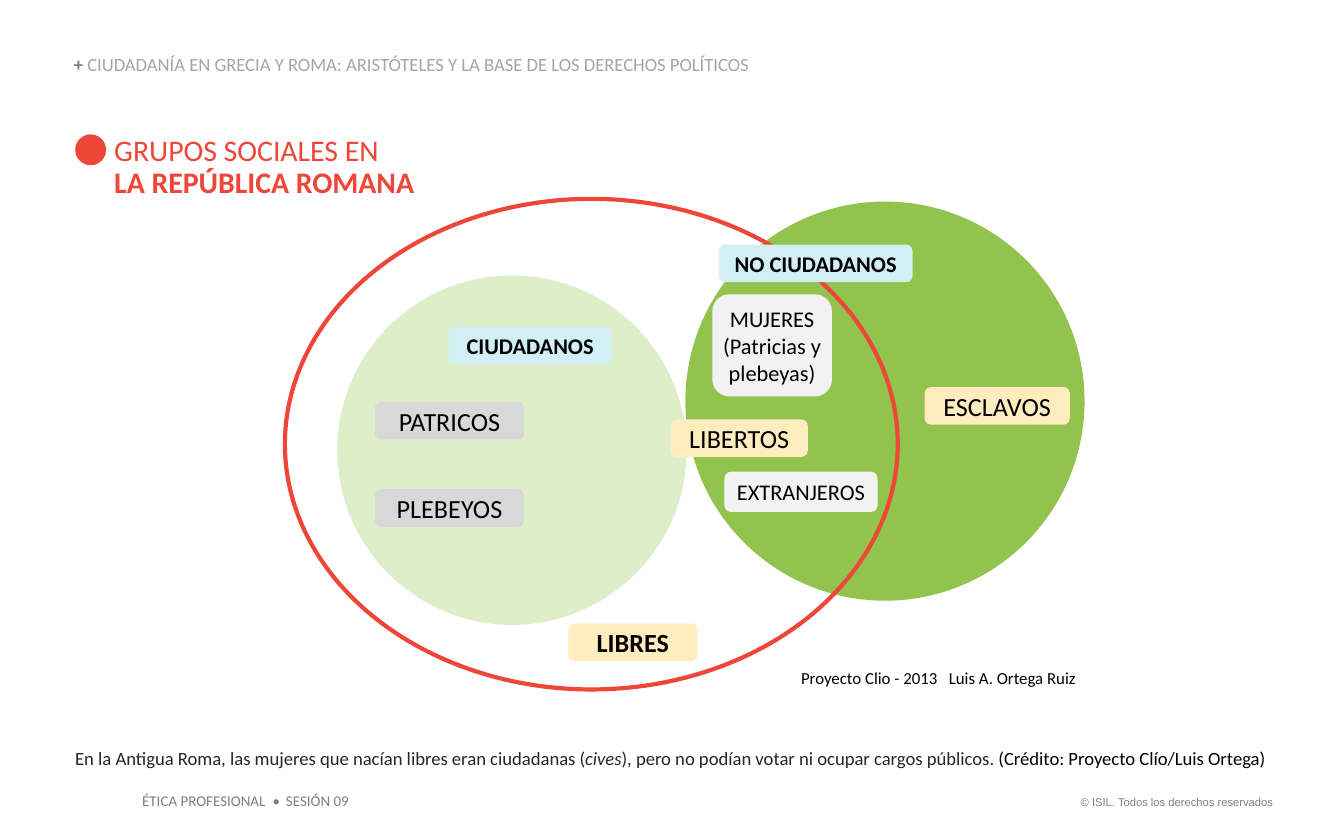
"""Build the slide on social groups in the Roman Republic."""
import pptx
import pptx.dml.color
import pptx.enum.shapes
import pptx.enum.text
import pptx.oxml
import pptx.oxml.ns
import pptx.util

CELL = 0.1
RED, BLACK, GRAY = "EE4639", "000000", "7F7F7F"
SKY, SAND, STONE, MIST = "D1EFF5", "FFEDBF", "D8D8D8", "F2F2F2"
PAD = (1, 0.5)
ALIGN = pptx.enum.text.PP_ALIGN
ANCHOR = pptx.enum.text.MSO_ANCHOR
KIND = pptx.enum.shapes.MSO_SHAPE


def grid(*cells):
    """Turn counts of grid cells into lengths."""
    return [pptx.util.Inches(cell * CELL) for cell in cells]


def paint(target, color):
    """Give a fill or a font a solid hex colour."""
    if hasattr(target, "solid"):
        target.solid()
        target = target.fore_color
    else:
        target = target.color
    target.rgb = pptx.dml.color.RGBColor.from_string(color)


def add_tabs(para, stops):
    """Set left tab stops, counted in grid cells, on a paragraph."""
    props = para._p.get_or_add_pPr()
    tabs = pptx.oxml.parse_xml(f"<a:tabLst {pptx.oxml.ns.nsdecls('a')}/>")
    for stop in grid(*stops):
        tab = tabs.makeelement(pptx.oxml.ns.qn("a:tab"), {"pos": str(stop), "algn": "l"})
        tabs.append(tab)
    props.append(tabs)


def write(shape, text, size=12, color=BLACK, bold=False, font="Calibri",
          align=ALIGN.LEFT, anchor=ANCHOR.TOP, pad=(0, 0), space=None, tabs=()):
    """Write lines, each a string or a list of (text, changes) runs, into a shape."""
    frame = shape.text_frame
    frame.word_wrap = True
    frame.vertical_anchor = anchor
    frame.margin_left, frame.margin_top = grid(*pad)
    frame.margin_right, frame.margin_bottom = grid(*pad)
    for row, line in enumerate(text):
        para = frame.add_paragraph() if row else frame.paragraphs[0]
        para.alignment = align
        if space:
            para.line_spacing = space
        if tabs:
            add_tabs(para, tabs)
        for words, change in [(line, {})] if isinstance(line, str) else line:
            run = para.add_run()
            run.text = words
            run.font.name = font
            run.font.size = pptx.util.Pt(size)
            run.font.bold = change.get("bold", bold)
            run.font.italic = change.get("italic", False)
            paint(run.font, change.get("color", color))


def add_text(slide, box, text, **form):
    """Add a text box that grows with its text."""
    shape = slide.shapes.add_textbox(*grid(*box))
    write(shape, text, **form)
    shape.text_frame.auto_size = pptx.enum.text.MSO_AUTO_SIZE.SHAPE_TO_FIT_TEXT


def add_form(slide, kind, box, fill=None, line=None):
    """Add a flat preset shape with a fill, an outline or both."""
    shape = slide.shapes.add_shape(kind, *grid(*box))
    shape.shadow.inherit = False
    if fill:
        paint(shape.fill, fill)
    else:
        shape.fill.background()
    if line:
        paint(shape.line.fill, line)
        shape.line.width = pptx.util.Pt(2.25)
    else:
        shape.line.fill.background()
    return shape


def add_label(slide, box, fill, *lines, **form):
    """Add a rounded label with centred text."""
    shape = add_form(slide, KIND.ROUNDED_RECTANGLE, box, fill)
    write(shape, lines, align=ALIGN.CENTER, anchor=ANCHOR.MIDDLE, **form)


def draw_sets(slide):
    """Draw the overlapping sets and the groups within them."""
    add_form(slide, KIND.OVAL, (51, 15, 29.7, 29.7), "92C34D")
    add_form(slide, KIND.OVAL, (25.1, 20.5, 26, 26), "DDEEC8")
    add_form(slide, KIND.OVAL, (21.2, 14.8, 45.6, 36.5), line=RED)
    tall = 2.8
    for left, top, wide, fill, name, size, bold in [
        (42.3, 46.4, 9.6, SAND, "LIBRES", 14, True),
        (27.9, 36.4, 11.1, STONE, "PLEBEYOS", 14, False),
        (27.9, 29.9, 11.1, STONE, "PATRICOS", 14, False),
        (33.4, 24.3, 12.1, SKY, "CIUDADANOS", 12, True),
        (49.9, 31.2, 10.2, SAND, "LIBERTOS", 14, False),
        (53.5, 18.2, 14.4, SKY, "NO CIUDADANOS", 12, True),
        (68.8, 28.8, 10.8, SAND, "ESCLAVOS", 14, False),
    ]:
        add_label(slide, (left, top, wide, tall), fill, name, size=size, bold=bold, pad=PAD)
    add_label(slide, (53, 21.9, 8.9, 7.6), MIST, "MUJERES", "(Patricias y plebeyas)")
    add_label(slide, (53.9, 35.1, 11.4, 3), MIST, "EXTRANJEROS")


def draw_head(slide):
    """Draw the topic line and the title with its dot."""
    topic = "CIUDADANÍA EN GRECIA Y ROMA: ARISTÓTELES Y LA BASE DE LOS DERECHOS POLÍTICOS"
    add_text(slide, (5.5, 4.1, 52.3, 1.5),
             [[("+ ", {"bold": True, "color": GRAY}), (topic, {})]],
             size=10, color="A5A5A5", anchor=ANCHOR.BOTTOM, space=0.9)
    add_text(slide, (8.5, 10.1, 40.9, 4.8),
             ["GRUPOS SOCIALES EN", [("LA REPÚBLICA ROMANA", {"bold": True})]],
             size=16, color=RED, space=0.9)
    add_form(slide, KIND.OVAL, (5.6, 10, 2.3, 2.3), RED)


def draw_foot(slide):
    """Draw the credit, the caption and the footer."""
    add_text(slide, (59.6, 49.7, 24.2, 1.5),
             ["Proyecto Clio - 2013\tLuis A. Ortega Ruiz"], size=9, tabs=[11])
    add_text(slide, (5.6, 55.6, 89.4, 1.7), [[
        ("En la Antigua Roma, las mujeres que nacían libres eran ciudadanas (", {}),
        ("cives", {"italic": True}),
        ("), pero no podían votar ni ocupar cargos públicos. ", {}),
        ("(Crédito: Proyecto Clío/Luis Ortega)", {"color": BLACK}),
    ]], size=10, color="262626")
    add_text(slide, (9.6, 58.4, 17.4, 2.4), ["ÉTICA PROFESIONAL\t•\tSESIÓN 09"],
             size=8, color=GRAY, pad=PAD, tabs=[9.7, 10.7])
    add_text(slide, (78.8, 58.7, 16.9, 2), ["© ISIL. Todos los derechos reservados"],
             size=6, color=GRAY, font="Arial", align=ALIGN.RIGHT, pad=PAD)


def main():
    """Build and save the slide."""
    deck = pptx.Presentation()
    deck.slide_width, deck.slide_height = grid(100, 62.5)
    slide = deck.slides.add_slide(deck.slide_layouts[6])
    draw_sets(slide)
    draw_head(slide)
    draw_foot(slide)
    deck.save("out.pptx")


if __name__ == "__main__":
    main()
